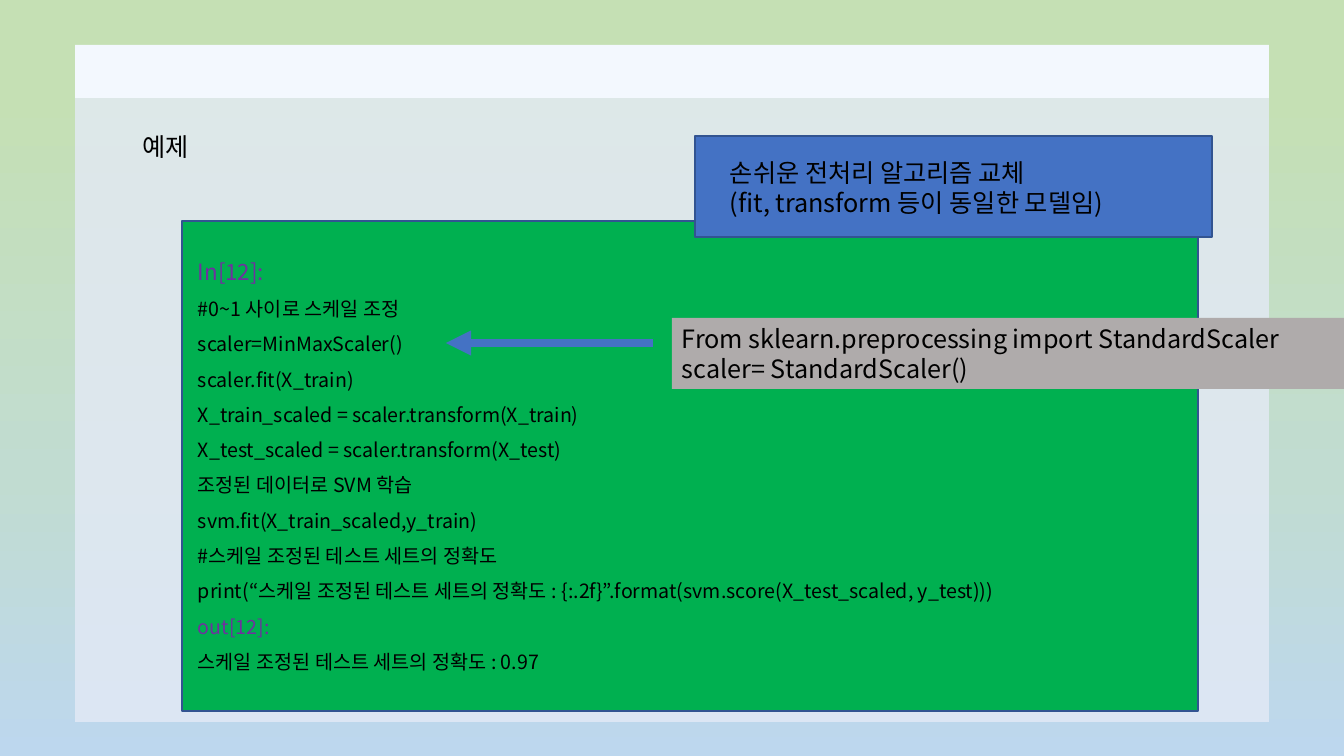
from lxml import etree
from pptx import Presentation
from pptx.dml.color import RGBColor
from pptx.enum.shapes import MSO_CONNECTOR, MSO_SHAPE
from pptx.enum.text import MSO_ANCHOR, PP_ALIGN
from pptx.oxml.ns import qn
from pptx.util import Emu, Pt

RECTANGLE, STRAIGHT = MSO_SHAPE.RECTANGLE, MSO_CONNECTOR.STRAIGHT
TOP, LEFT = MSO_ANCHOR.TOP, PP_ALIGN.LEFT
PX = 914400 / 100.8
FONT = "Noto Sans CJK KR"
COLORS = {
    "text": "000000", "prompt": "7030A0", "panel": "E4EAF6", "band": "F3F8FE",
    "code": "00B050", "accent": "4472C4", "outline": "325491", "snippet": "AFABAB",
}
SKY = [(12, "C5E0B4"), (63, "C1DCD1"), (100, "BDD7EE")]
CODE = [
    ("In[12]:", 16, "prompt"),
    ("#0~1 사이로 스케일 조정", 14, "text"),
    ("scaler=MinMaxScaler()", 14, "text"),
    ("scaler.fit(X_train)", 14, "text"),
    ("X_train_scaled = scaler.transform(X_train)", 14, "text"),
    ("X_test_scaled = scaler.transform(X_test)", 14, "text"),
    ("조정된 데이터로 SVM 학습", 14, "text"),
    ("svm.fit(X_train_scaled,y_train)", 14, "text"),
    ("#스케일 조정된 테스트 세트의 정확도", 14, "text"),
    ("print(“스케일 조정된 테스트 세트의 정확도 : {:.2f}”"
     ".format(svm.score(X_test_scaled, y_test)))", 14, "text"),
    ("out[12]:", 14, "prompt"),
    ("스케일 조정된 테스트 세트의 정확도 : 0.97", 14, "text"),
]
REMARK = [("손쉬운 전처리 알고리즘 교체", 18, "text"),
          ("(fit, transform 등이 동일한 모델임)", 18, "text")]
SNIPPET = [("From sklearn.preprocessing import StandardScaler", 18, "text"),
           ("scaler= StandardScaler()", 18, "text")]


def px(*lengths):
    """Turn pixel lengths into EMU."""
    return [Emu(round(length * PX)) for length in lengths]


def color(name):
    """Look up a palette colour."""
    return RGBColor.from_string(COLORS[name])


def write(frame, lines, spacing=1.0):
    """Fill a text frame with (wording, size, colour) lines."""
    frame.word_wrap = True
    frame.vertical_anchor = TOP
    for index, (wording, size, ink) in enumerate(lines):
        paragraph = frame.add_paragraph() if index else frame.paragraphs[0]
        paragraph.text = wording
        paragraph.alignment = LEFT
        paragraph.line_spacing = spacing
        font = paragraph.font
        font.size = Pt(size)
        font.color.rgb = color(ink)
        font.name = FONT
        defaults = paragraph._p.pPr.find(qn("a:defRPr"))
        etree.SubElement(defaults, qn("a:ea"), typeface=FONT)


def add_panel(slide, box, fill, outline=None, opacity=100):
    """Draw a flat rectangle and return it."""
    panel = slide.shapes.add_shape(RECTANGLE, *px(*box))
    panel.shadow.inherit = False
    panel.fill.solid()
    panel.fill.fore_color.rgb = color(fill)
    if opacity < 100:
        tint = panel._element.spPr.find(qn("a:solidFill"))[0]
        etree.SubElement(tint, qn("a:alpha"), val=str(opacity * 1000))
    if outline:
        panel.line.color.rgb = color(outline)
        panel.line.width = Pt(1)
    else:
        panel.line.fill.background()
    return panel


def add_words(slide, box, lines, spacing=1.0):
    """Place a text box."""
    write(slide.shapes.add_textbox(*px(*box)).text_frame, lines, spacing)


def add_backdrop(slide, box):
    """Paint the sky gradient, the content panel and its top band."""
    fill = slide.background.fill
    fill.gradient()
    fill.gradient_angle = 270
    stops = slide._element.find(".//" + qn("a:gsLst"))
    for stop in list(stops):
        stops.remove(stop)
    for position, tone in SKY:
        stop = etree.SubElement(stops, qn("a:gs"), pos=str(position * 1000))
        etree.SubElement(stop, qn("a:srgbClr"), val=tone)
    left, top, width, height = box
    add_panel(slide, (left, top + 12, width, height - 12), "panel", opacity=80)
    add_panel(slide, (left, top, width, 53), "band")


def add_heading(slide, box):
    """Format the title and raise it above the backdrop."""
    title = slide.shapes.title
    title.left, title.top, title.width, title.height = px(*box)
    write(title.text_frame, [("예제", 18, "text")], 1.5)
    slide.shapes._spTree.append(title._element)


def add_code(slide, box):
    """Draw the code cell with its lines."""
    left, top, width, height = box
    add_panel(slide, box, "code", "outline")
    add_words(slide, (left + 6, top + 19, width + 9, height + 26), CODE, 1.5)


def add_remark(slide, box):
    """Draw the blue remark."""
    left, top, width, height = box
    add_panel(slide, box, "accent", "outline")
    add_words(slide, (left + 25, top + 16, width + 12, height - 29), REMARK)


def add_replacement(slide, box):
    """Draw the replacement snippet and the arrow to the line it replaces."""
    left, top, width, height = box
    y = top + 25
    arrow = slide.shapes.add_connector(STRAIGHT, *px(left - 19, y, left - 226, y))
    arrow.line.color.rgb = color("accent")
    arrow.line.width = Pt(6)
    etree.SubElement(arrow.line._get_or_add_ln(), qn("a:tailEnd"), type="triangle")
    etree.SubElement(arrow._element.spPr, qn("a:effectLst"))
    write(add_panel(slide, box, "snippet").text_frame, SNIPPET)


def main():
    """Build and save the slide."""
    deck = Presentation()
    deck.slide_width, deck.slide_height = px(1344, 756)
    slide = deck.slides.add_slide(deck.slide_layouts[5])
    add_backdrop(slide, (75, 45, 1194, 677))
    add_heading(slide, (132, 111, 1170, 48))
    add_code(slide, (182, 221, 1016, 490))
    add_remark(slide, (695, 136, 517, 101))
    add_replacement(slide, (672, 318, 784, 71))
    deck.save("out.pptx")


if __name__ == "__main__":
    main()
